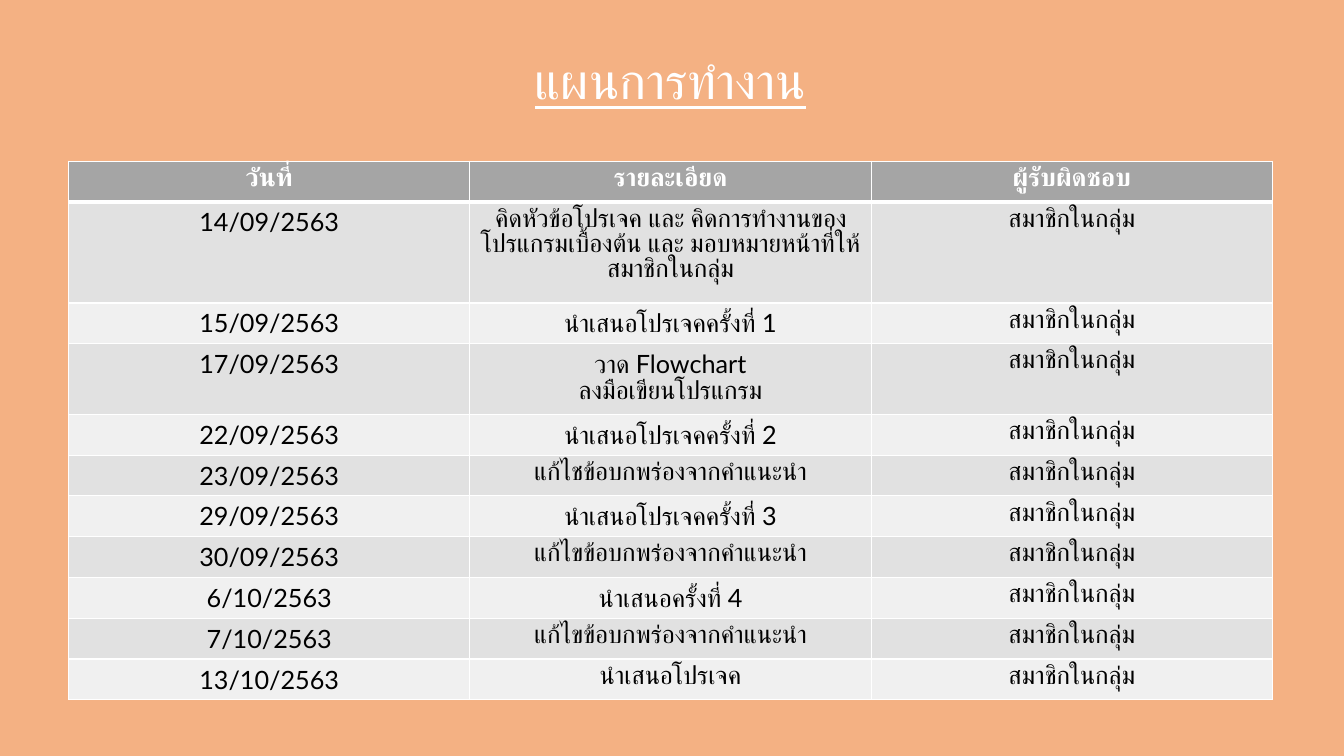
from lxml import etree
from pptx import Presentation, util as u
from pptx.dml.color import RGBColor
from pptx.enum import text
from pptx.oxml.ns import qn

WIDTH, HEIGHT = 13.33, 7.5
FONT = "Lato"
WHITE, BLACK, ORANGE = "FFFFFF", "000000", "F4B183"
HEADER_FILL, BAND_FILLS = "A5A5A5", ("E1E1E1", "F0F0F0")
ROW = 0.405
TALL_ROWS = {1: 1.0, 3: 0.7}
MEMBERS = "สมาชิกในกลุ่ม"
HEADERS = ("วันที่", "รายละเอียด", "ผู้รับผิดชอบ")
PLAN = (
    ("14/09/2563", "คิดหัวข้อโปรเจค และ คิดการทำงานของโปรแกรมเบื้องต้น และ มอบหมายหน้าที่ให้สมาชิกในกลุ่ม"),
    ("15/09/2563", "นำเสนอโปรเจคครั้งที่ 1"),
    ("17/09/2563", "วาด Flowchart\nลงมือเขียนโปรแกรม"),
    ("22/09/2563", "นำเสนอโปรเจคครั้งที่ 2"),
    ("23/09/2563", "แก้ไชข้อบกพร่องจากคำแนะนำ"),
    ("29/09/2563", "นำเสนอโปรเจคครั้งที่ 3"),
    ("30/09/2563", "แก้ไขข้อบกพร่องจากคำแนะนำ"),
    ("6/10/2563", "นำเสนอครั้งที่ 4"),
    ("7/10/2563", "แก้ไขข้อบกพร่องจากคำแนะนำ"),
    ("13/10/2563", "นำเสนอโปรเจค"),
)


def color(code):
    return RGBColor.from_string(code)


def write(frame, content, size=18, ink=BLACK, bold=False, underline=False):
    frame.word_wrap = True
    for index, line in enumerate(content.split("\n")):
        para = frame.add_paragraph() if index else frame.paragraphs[0]
        para.alignment = text.PP_ALIGN.CENTER
        span = para.add_run()
        span.text = line
        font = span.font
        font.name, font.size, font.bold = FONT, u.Pt(size), bold
        font.underline = underline
        font.color.rgb = color(ink)


def border(cell, bottom):
    properties = cell._tc.get_or_add_tcPr()
    widths = {"a:lnL": 1, "a:lnR": 1, "a:lnT": 1, "a:lnB": bottom}
    for index, (side, width) in enumerate(widths.items()):
        line = etree.Element(qn(side), w=str(u.Pt(width)))
        fill = etree.SubElement(line, qn("a:solidFill"))
        etree.SubElement(fill, qn("a:srgbClr"), val=WHITE)
        properties.insert(index, line)


def add_title(page, box):
    frame = page.shapes.add_textbox(*map(u.Inches, box)).text_frame
    write(frame, "แผนการทำงาน", size=36, ink=WHITE, underline=True)


def add_plan(page, box):
    rows = [HEADERS] + [(*entry, MEMBERS) for entry in PLAN]
    table = page.shapes.add_table(len(rows), len(HEADERS), *map(u.Inches, box)).table
    for column in table.columns:
        column.width = u.Inches(box[2] / len(HEADERS))
    for r, row in enumerate(rows):
        table.rows[r].height = u.Inches(TALL_ROWS.get(r, ROW))
        header = r == 0
        for c, content in enumerate(row):
            cell = table.cell(r, c)
            cell.fill.solid()
            cell.fill.fore_color.rgb = color(HEADER_FILL if header else BAND_FILLS[(r - 1) % 2])
            border(cell, 3 if header else 1)
            write(cell.text_frame, content, ink=WHITE if header else BLACK, bold=header)


def main():
    deck = Presentation()
    deck.slide_width, deck.slide_height = u.Inches(WIDTH), u.Inches(HEIGHT)
    page = deck.slides.add_slide(deck.slide_layouts[6])
    page.background.fill.solid()
    page.background.fill.fore_color.rgb = color(ORANGE)
    add_title(page, (3.25, 0.44, 6.8, 0.71))
    add_plan(page, (0.68, 1.6, 11.94, ROW * 9 + sum(TALL_ROWS.values())))
    deck.save("out.pptx")


if __name__ == "__main__":
    main()
